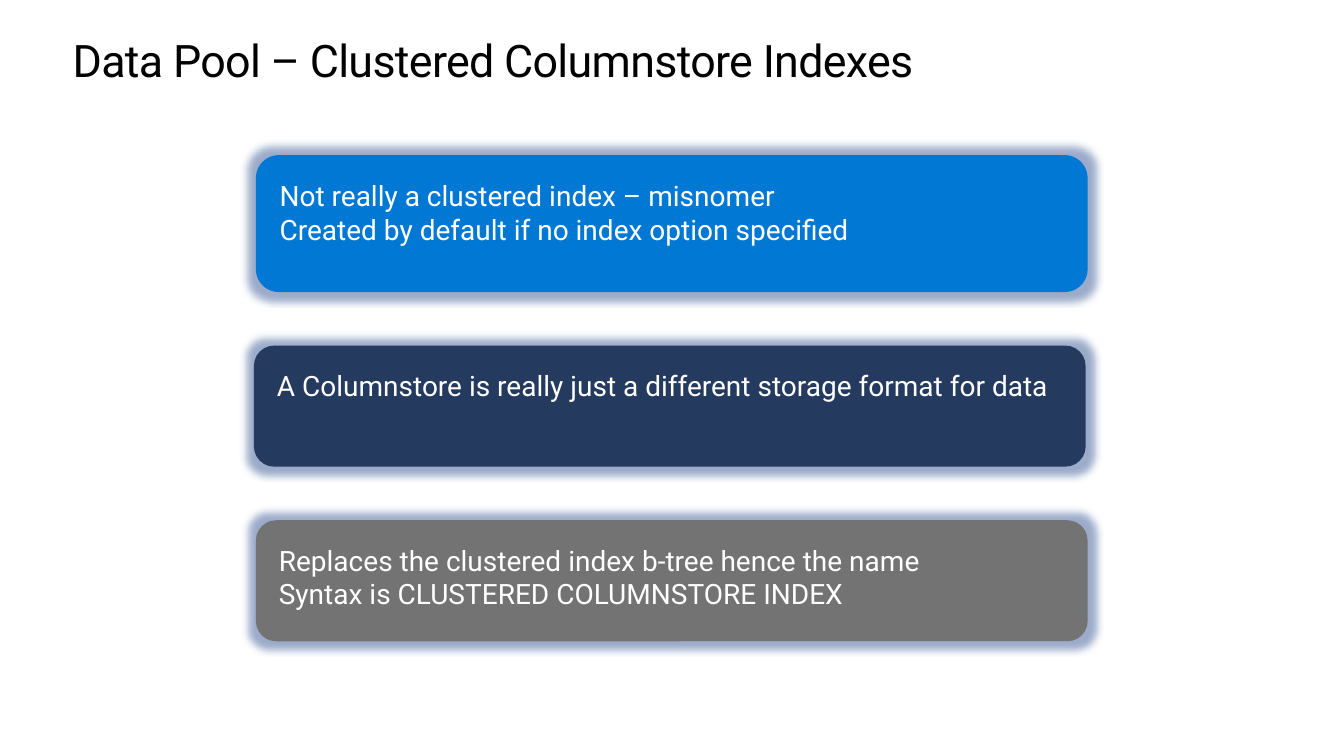
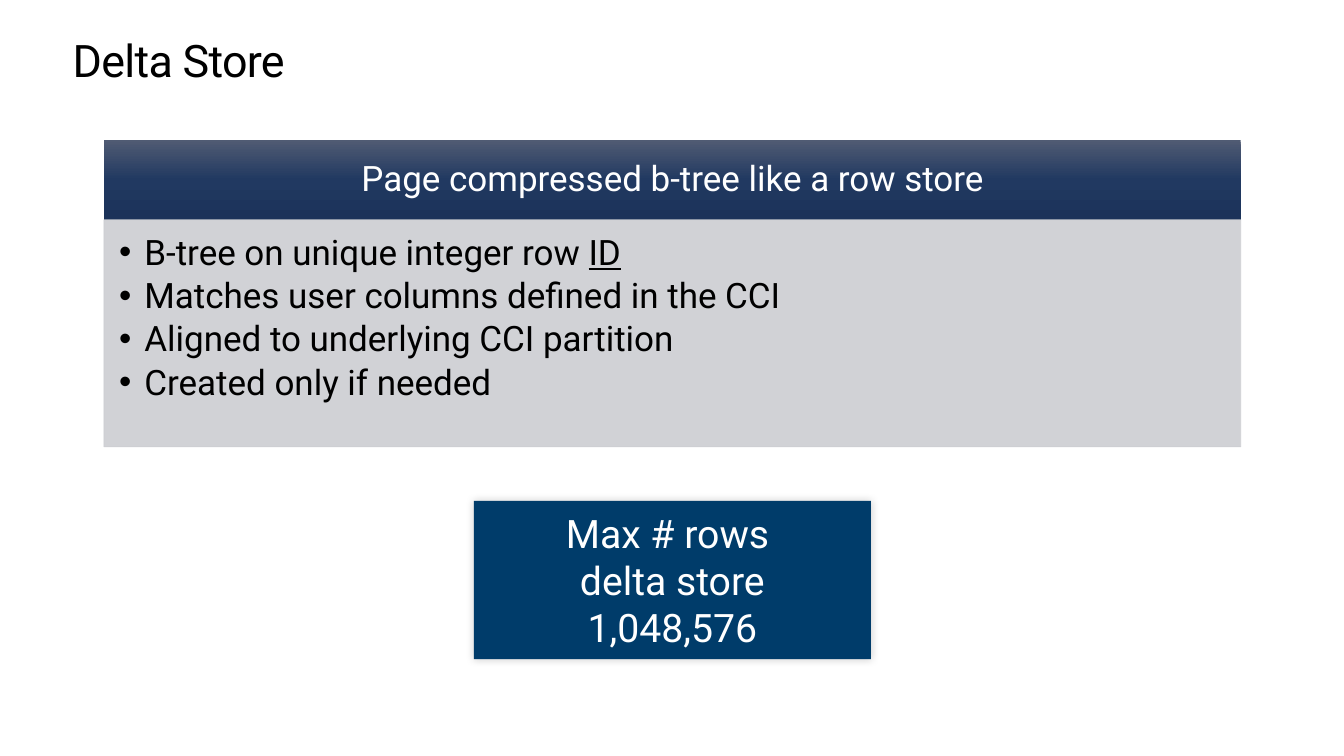
import copy
import lxml.etree
import pptx
import pptx.dml.color
import pptx.enum.shapes
import pptx.enum.text
import pptx.oxml.ns
import pptx.util

Cm = pptx.util.Cm
Pt = pptx.util.Pt
qn = pptx.oxml.ns.qn
RGB = pptx.dml.color.RGBColor.from_string
SHAPES = pptx.enum.shapes.MSO_SHAPE
ALIGN = pptx.enum.text.PP_ALIGN
ANCHOR = pptx.enum.text.MSO_ANCHOR

FONT = "Roboto"
COLORS = {
    "black": "000000",
    "white": "FFFFFF",
    "blue": "0078D4",
    "navy": "243A5E",
    "gray": "737373",
    "glow": "052D7A",
    "header_top": "505B73",
    "header_middle": "213961",
    "header_bottom": "1B3259",
    "panel": "CDCED2",
    "callout": "003C6A",
}


def add_box(slide, kind, bounds, color, insets, anchor):
    shape = slide.shapes.add_shape(kind, *[Cm(length) for length in bounds])
    shape.shadow.inherit = False
    shape.fill.solid()
    shape.fill.fore_color.rgb = RGB(COLORS[color])
    shape.line.fill.background()
    frame = shape.text_frame
    frame.word_wrap = True
    frame.vertical_anchor = anchor
    frame.margin_left, frame.margin_top, frame.margin_right, frame.margin_bottom = [
        Cm(inset) for inset in insets
    ]
    return shape


def write_lines(frame, lines, size, color, align=ALIGN.LEFT, bullet=False):
    for index, line in enumerate(lines):
        paragraph = frame.paragraphs[0] if index == 0 else frame.add_paragraph()
        if bullet:
            properties = paragraph._p.get_or_add_pPr()
            properties.set("marL", str(Cm(0.64)))
            properties.set("indent", str(-Cm(0.64)))
            lxml.etree.SubElement(properties, qn("a:buFont"), typeface="Arial")
            lxml.etree.SubElement(properties, qn("a:buChar"), char="•")
        paragraph.alignment = align
        for text, underlined in line if isinstance(line, list) else [(line, False)]:
            run = paragraph.add_run()
            run.text = text
            run.font.name = FONT
            run.font.size = Pt(size)
            run.font.color.rgb = RGB(COLORS[color])
            if underlined:
                run.font.underline = True


presentation = pptx.Presentation()
presentation.slide_width = Cm(33.87)
presentation.slide_height = Cm(19.05)

slides = []
for heading in ["Data Pool – Clustered Columnstore Indexes", "Delta Store"]:
    slide = presentation.slides.add_slide(presentation.slide_layouts[5])
    title = slide.shapes.title
    title.left, title.top, title.width, title.height = Cm(1.83), Cm(0.89), Cm(30.23), Cm(1.27)
    frame = title.text_frame
    frame.margin_left = frame.margin_top = frame.margin_right = frame.margin_bottom = 0
    frame.word_wrap = True
    frame.auto_size = pptx.enum.text.MSO_AUTO_SIZE.NONE
    frame.vertical_anchor = ANCHOR.TOP
    write_lines(frame, [heading], 32, "black")
    frame.paragraphs[0].line_spacing = Pt(36.2)
    frame.paragraphs[0].runs[0].font._element.set("spc", "-50")
    slides.append(slide)
index_slide, delta_slide = slides

cards = [
    (6.45, 3.91, 3.45, "blue", [
        "Not really a clustered index – misnomer",
        "Created by default if no index option specified",
    ]),
    (6.4, 8.71, 3.05, "navy", [
        "A Columnstore is really just a different storage format for data",
    ]),
    (6.45, 13.11, 3.05, "gray", [
        "Replaces the clustered index b-tree hence the name",
        "Syntax is CLUSTERED COLUMNSTORE INDEX",
    ]),
]
for left, top, height, color, lines in cards:
    card = add_box(index_slide, SHAPES.ROUNDED_RECTANGLE, (left, top, 20.96, height),
                   color, [0.43] * 4, ANCHOR.TOP)
    write_lines(card.text_frame, lines, 20, "white")
    effects = card._element.spPr.find(qn("a:effectLst"))
    glow = lxml.etree.SubElement(effects, qn("a:glow"), rad=str(Pt(11)))
    glow_color = lxml.etree.SubElement(glow, qn("a:srgbClr"), val=COLORS["glow"])
    lxml.etree.SubElement(glow_color, qn("a:alpha"), val="40000")

header = add_box(delta_slide, SHAPES.RECTANGLE, (2.62, 3.53, 28.65, 2.01),
                 "header_middle", (0.48, 0.28, 0.48, 0.28), ANCHOR.MIDDLE)
header.fill.gradient()
header.fill.gradient_angle = 270
stop_list = header._element.spPr.find(".//" + qn("a:gsLst"))
stop_list.append(copy.deepcopy(stop_list[-1]))
for stop, position, color in zip(header.fill.gradient_stops, (0, 0.5, 1),
                                 ("header_top", "header_middle", "header_bottom")):
    stop.position = position
    stop.color.rgb = RGB(COLORS[color])
write_lines(header.text_frame, ["Page compressed b-tree like a row store"], 25, "white",
            ALIGN.CENTER)
header.text_frame.paragraphs[0].line_spacing = 0.9

panel = add_box(delta_slide, SHAPES.RECTANGLE, (2.62, 5.54, 28.65, 5.72),
                "panel", (0.38, 0.38, 0.48, 0.56), ANCHOR.TOP)
panel.line.color.rgb = RGB(COLORS["panel"])
panel.line.width = Pt(0.5)
for panel_color in panel._element.spPr.findall(".//" + qn("a:srgbClr")):
    lxml.etree.SubElement(panel_color, qn("a:alpha"), val="90000")
write_lines(panel.text_frame, [
    [("B-tree on unique integer row ", False), ("ID", True)],
    "Matches user columns defined in the CCI",
    "Aligned to underlying CCI partition",
    "Created only if needed",
], 25, "black", bullet=True)
for paragraph in panel.text_frame.paragraphs:
    paragraph.line_spacing = 0.9
    paragraph.space_after = Pt(4)

callout = add_box(delta_slide, SHAPES.RECTANGLE, (11.94, 12.62, 10.01, 3.99),
                  "callout", (0.25, 0.13, 0.25, 0.13), ANCHOR.MIDDLE)
write_lines(callout.text_frame, ["Max # rows ", "delta store", "1,048,576"], 28, "white",
            ALIGN.CENTER)
effects = callout._element.spPr.find(qn("a:effectLst"))
shadow = lxml.etree.SubElement(effects, qn("a:outerShdw"), blurRad=str(Pt(6)), dist="0",
                               dir="13500000", algn="ctr", rotWithShape="0")
shadow_color = lxml.etree.SubElement(shadow, qn("a:srgbClr"), val=COLORS["black"])
lxml.etree.SubElement(shadow_color, qn("a:alpha"), val="20000")

presentation.save("out.pptx")
